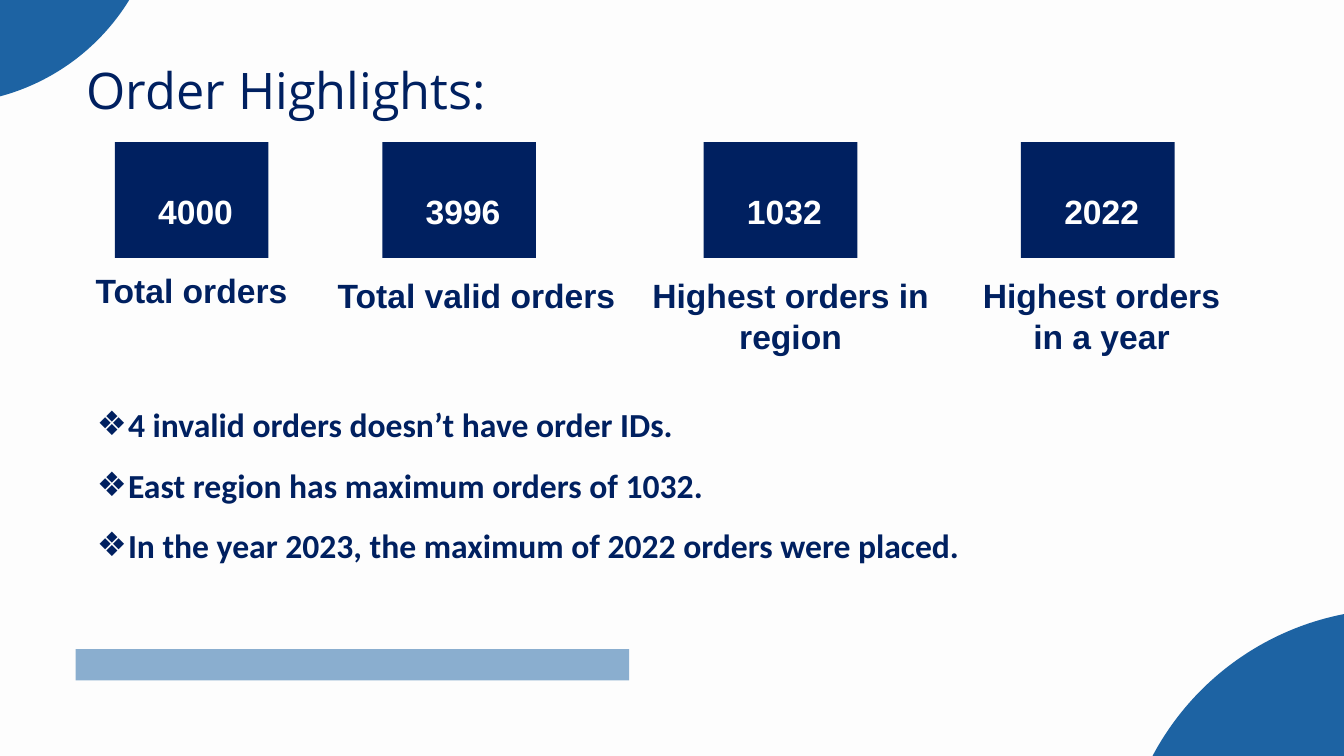
from lxml import etree
from pptx import Presentation, util as u
from pptx.dml.color import RGBColor
from pptx.enum import shapes, text
from pptx.oxml import ns

WIDTH, HEIGHT = u.Inches(13.33), u.Inches(7.5)
NAVY, BLUE, WHITE, PAPER = "002060", "145DA0", "FFFFFF", "FDFDFD"
TILE_TOP, TILE_WIDTH, TILE_HEIGHT = 18.8, 11.43, 15.3

# Tile left, value, label, then label left, top, width and height (all in percent)
HIGHLIGHTS = [
    (8.55, "4000", "Total orders", (6, 35.73, 16.5, 5.33)),
    (28.45, "3996", "Total valid orders", (24.16, 36.4, 22.58, 5.33)),
    (52.36, "1032", "Highest orders in region", (48.39, 36.4, 20.86, 10.8)),
    (75.97, "2022", "Highest orders\vin a year", (71.49, 36.4, 20.93, 10.8)),
]
FINDINGS = [
    "4 invalid orders doesn’t have order IDs.",
    "East region has maximum orders of 1032.",
    "In the year 2023, the maximum of 2022 orders were placed.",
]


def paint(target, color):
    target.solid()
    target.fore_color.rgb = RGBColor.from_string(color)


def area(left, top, width, height):
    """Turn percentages of the slide into lengths."""
    return (int(WIDTH * left / 100), int(HEIGHT * top / 100),
            int(WIDTH * width / 100), int(HEIGHT * height / 100))


def place(shape, share):
    shape.left, shape.top, shape.width, shape.height = area(*share)


def add_block(page, kind, share, color, opacity=100):
    block = page.shapes.add_shape(kind, *area(*share))
    block.shadow.inherit = False
    paint(block.fill, color)
    block.line.fill.background()
    if opacity < 100:
        tint = block.fill._xPr.find(".//" + ns.qn("a:srgbClr"))
        etree.SubElement(tint, ns.qn("a:alpha"), val=str(opacity * 1000))


def set_frame(box, inset=True):
    frame = box.text_frame
    frame.word_wrap = True
    frame.auto_size = text.MSO_AUTO_SIZE.NONE
    frame.vertical_anchor = text.MSO_ANCHOR.TOP
    if not inset:
        frame.margin_left = frame.margin_right = 0
        frame.margin_top = frame.margin_bottom = 0
    return frame


def style(para, font, size, color, bold, align, spacing=1.0):
    para.alignment = align
    para.line_spacing = spacing
    para.space_before = u.Pt(0)
    for span in para.runs:
        span.font.name, span.font.size, span.font.bold = font, u.Pt(size), bold
        paint(span.font.fill, color)


def add_caption(page, share, words, color, inset=True, spacing=1.0):
    frame = set_frame(page.shapes.add_textbox(*area(*share)), inset)
    frame.text = words
    style(frame.paragraphs[0], "Arial", 24, color, True, text.PP_ALIGN.CENTER, spacing)


def add_highlight(page, left, value, label, label_share):
    tile = (left, TILE_TOP, TILE_WIDTH, TILE_HEIGHT)
    add_block(page, shapes.MSO_SHAPE.RECTANGLE, tile, NAVY)
    add_caption(page, label_share, label, NAVY, inset=False)
    add_caption(page, (left + 0.75, 21.07, 10.5, 10.27), value, WHITE, spacing=u.Pt(47.7))


def fill_title(page, words):
    title = page.shapes.title
    place(title, (6.45, 4.4, 51.76, 10.27))
    frame = set_frame(title, inset=False)
    frame.text = words
    style(frame.paragraphs[0], "Open Sans", 36, NAVY, False, text.PP_ALIGN.LEFT, u.Pt(61.6))


def fill_findings(page, findings):
    body = page.placeholders[1]
    place(body, (6.45, 50.13, 66.77, 25.6))
    frame = set_frame(body)
    frame.text = "\n".join(findings)
    for para in frame.paragraphs:
        style(para, "Calibri", 24, NAVY, True, text.PP_ALIGN.LEFT, 1.5)
        layout = para._p.get_or_add_pPr()
        layout.set("marL", str(u.Inches(0.31)))
        layout.set("indent", str(-u.Inches(0.31)))
        etree.SubElement(layout, ns.qn("a:buFont"), typeface="Wingdings")
        etree.SubElement(layout, ns.qn("a:buChar"), char="❖")
        layout.find(ns.qn("a:buFont")).set("typeface", "Arial")


def main():
    deck = Presentation()
    deck.slide_width, deck.slide_height = WIDTH, HEIGHT
    page = deck.slides.add_slide(deck.slide_layouts[1])
    paint(page.background.fill, PAPER)

    # Decoration
    add_block(page, shapes.MSO_SHAPE.RECTANGLE, (5.63, 85.87, 41.18, 4.13), BLUE, 49)
    add_block(page, shapes.MSO_SHAPE.OVAL, (83.35, 80.55, 41.18, 73.2), BLUE, 96)
    add_block(page, shapes.MSO_SHAPE.OVAL, (-20.4, -43.87, 32.41, 57.6), BLUE, 96)

    # Key figures
    for highlight in HIGHLIGHTS:
        add_highlight(page, *highlight)

    # Title and findings
    fill_title(page, "Order Highlights:")
    fill_findings(page, FINDINGS)
    deck.save("out.pptx")


if __name__ == "__main__":
    main()
